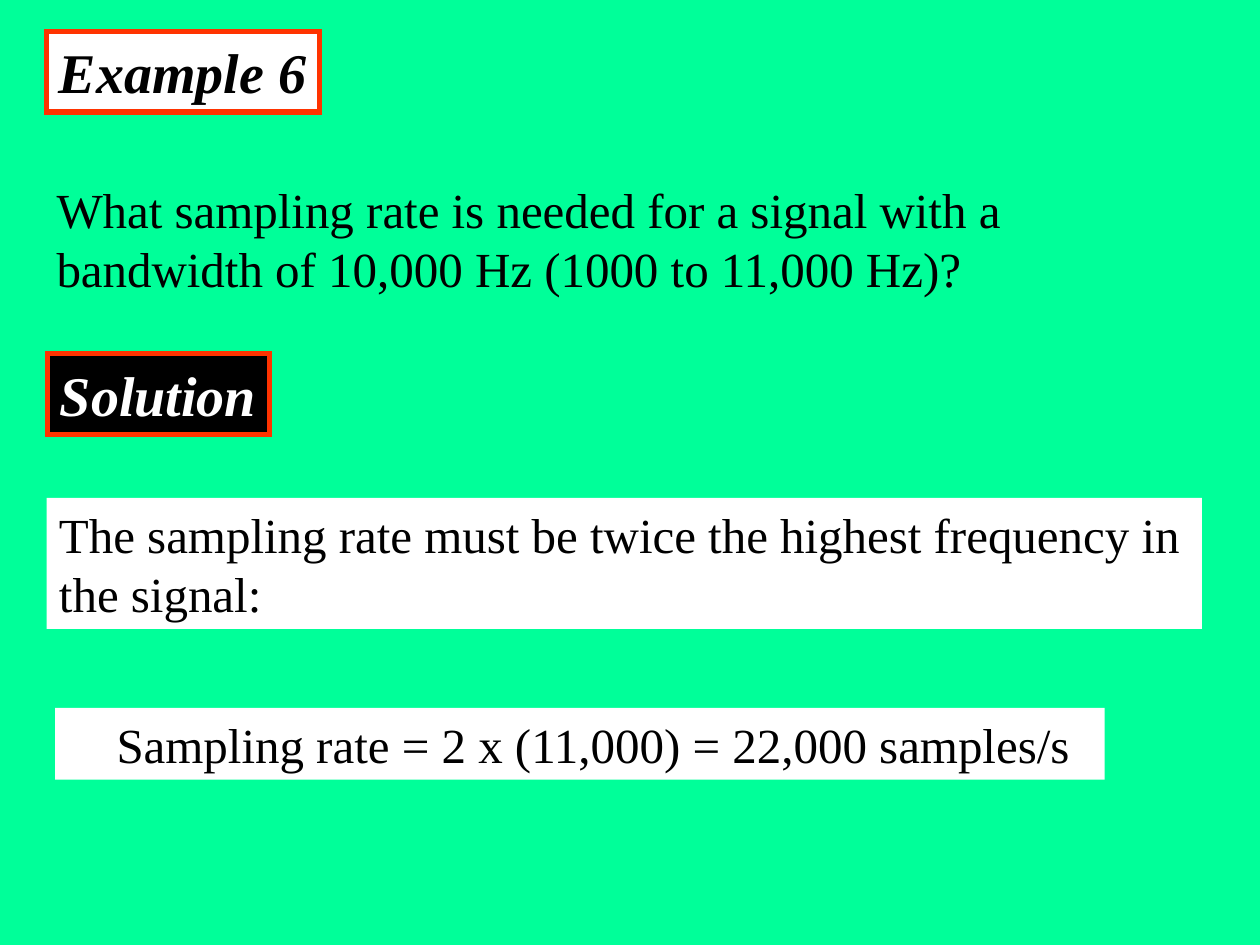
"""Build the Example 6 slide on sampling rate."""
from lxml.etree import SubElement
from pptx import Presentation
from pptx.dml.color import RGBColor
from pptx.enum.shapes import MSO_SHAPE as Shape
from pptx.enum.text import MSO_ANCHOR as Anchor, MSO_AUTO_SIZE as AutoSize, PP_ALIGN as Align
from pptx.oxml.ns import qn
from pptx.util import Cm, Pt

GREEN = RGBColor(0x00, 0xFF, 0x99)
ORANGE = RGBColor(0xFF, 0x33, 0x00)
BLACK = RGBColor(0x00, 0x00, 0x00)
WHITE = RGBColor(0xFF, 0xFF, 0xFF)

HEADING = {"name": "Times New Roman", "size": Pt(32), "bold": True, "italic": True}
BODY = {"name": "Times New Roman", "size": Pt(28), "bold": False, "italic": False}
INSET = 0.25
EQUATION_INSET = 1.24
HEADING_RIGHT_INSET = 0.1

presentation = Presentation()
presentation.slide_width = Cm(25.4)
presentation.slide_height = Cm(19.05)
slide = presentation.slides.add_slide(presentation.slide_layouts[6])
slide.background.fill.solid()
slide.background.fill.fore_color.rgb = GREEN

passages = [
    ("Example 6", (0.94, 0.63, 5.5, 1.63), HEADING, BLACK, WHITE, INSET),
    ("What sampling rate is needed for a signal with a bandwidth of 10,000 Hz (1000 to 11,000 Hz)?",
     (0.89, 3.49, 23.5, 2.64), BODY, BLACK, None, INSET),
    ("Solution", (0.96, 7.13, 4.47, 1.63), HEADING, WHITE, BLACK, INSET),
    ("The sampling rate must be twice the highest frequency in the signal:",
     (0.94, 10.04, 23.29, 2.64), BODY, BLACK, WHITE, INSET),
    ("Sampling rate = 2 x (11,000) = 22,000 samples/s",
     (1.11, 14.27, 21.16, 1.45), BODY, BLACK, WHITE, EQUATION_INSET),
]

for wording, bounds, font_format, ink, panel_color, left_inset in passages:
    place = [Cm(length) for length in bounds]
    is_heading = font_format is HEADING
    if panel_color is None:
        passage = slide.shapes.add_textbox(*place)
    else:
        passage = slide.shapes.add_shape(Shape.RECTANGLE, *place)
        passage.shadow.inherit = False
        passage.fill.solid()
        passage.fill.fore_color.rgb = panel_color
        if is_heading:
            passage.line.color.rgb = ORANGE
            passage.line.width = Pt(3)
            border = passage.element.spPr.find(qn("a:ln"))
            SubElement(border, qn("a:miter"), lim="800000")
        else:
            passage.line.fill.background()

    frame = passage.text_frame
    frame_format = {
        "word_wrap": True,
        "auto_size": AutoSize.SHAPE_TO_FIT_TEXT,
        "vertical_anchor": Anchor.TOP,
        "margin_left": Cm(left_inset),
        "margin_right": Cm(HEADING_RIGHT_INSET if is_heading else INSET),
        "margin_top": Cm(0.13),
        "margin_bottom": Cm(0.13),
    }
    for attribute, value in frame_format.items():
        setattr(frame, attribute, value)

    paragraph = frame.paragraphs[0]
    paragraph.alignment = Align.LEFT
    run = paragraph.add_run()
    run.text = wording
    for attribute, value in font_format.items():
        setattr(run.font, attribute, value)
    run.font.color.rgb = ink

presentation.save("out.pptx")
